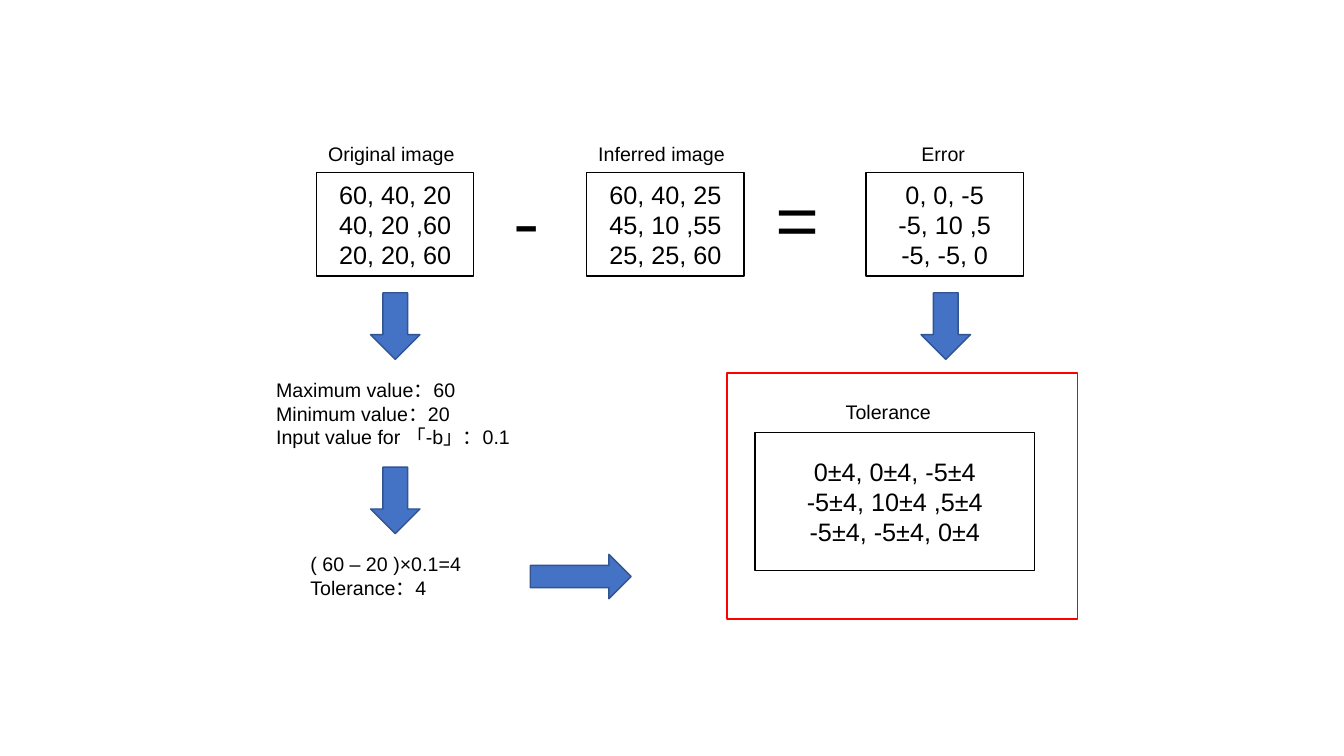
from lxml import etree
from pptx import Presentation
from pptx import util as u
from pptx.dml.color import RGBColor
from pptx.enum import shapes, text
from pptx.oxml import ns

COLORS = {"ink": "000000", "paper": "FFFFFF", "arrow": "4472C4",
          "arrow_edge": "325491", "highlight": "FF0000"}
EAST_ASIAN = "Noto Sans CJK JP"
MATRIX = {"name": "Arial", "size": u.Pt(18)}
LABEL = {"name": "Arial", "size": u.Pt(14)}
OPERATOR = {"name": EAST_ASIAN, "size": u.Pt(54)}


class Diagram:
    def __init__(self, slide):
        self.slide = slide

    def color(self, name):
        return RGBColor.from_string(COLORS[name])

    def fill_text(self, shape, lines, style, frame_format, alignment):
        frame = shape.text_frame
        for name, value in frame_format.items():
            setattr(frame, name, value)
        for index, line in enumerate(lines):
            paragraph = frame.add_paragraph() if index else frame.paragraphs[0]
            paragraph.alignment = alignment
            run = paragraph.add_run()
            run.text = line
            for name, value in style.items():
                setattr(run.font, name, value)
            run.font.color.rgb = self.color("ink")
            properties = run._r.get_or_add_rPr()
            etree.SubElement(properties, ns.qn("a:ea"), typeface=EAST_ASIAN)

    def shape(self, kind, box, fill, line):
        shape = self.slide.shapes.add_shape(kind, *map(u.Inches, box))
        shape.shadow.inherit = False
        if fill:
            shape.fill.solid()
            shape.fill.fore_color.rgb = self.color(fill)
        else:
            shape.fill.background()
        shape.line.color.rgb = self.color(line)
        shape.line.width = u.Pt(1)
        return shape

    def rectangle(self, box, fill="paper", line="ink"):
        return self.shape(shapes.MSO_SHAPE.RECTANGLE, box, fill, line)

    def matrix(self, box, rows):
        frame_format = {"word_wrap": True, "vertical_anchor": text.MSO_ANCHOR.MIDDLE}
        self.fill_text(self.rectangle(box), rows, MATRIX, frame_format, text.PP_ALIGN.CENTER)

    def text(self, box, lines, style=LABEL):
        shape = self.slide.shapes.add_textbox(*map(u.Inches, box))
        frame_format = {"word_wrap": True, "auto_size": text.MSO_AUTO_SIZE.SHAPE_TO_FIT_TEXT}
        self.fill_text(shape, lines, style, frame_format, text.PP_ALIGN.LEFT)

    def arrow(self, box, rotation=0):
        shape = self.shape(shapes.MSO_SHAPE.RIGHT_ARROW, box, "arrow", "arrow_edge")
        shape.rotation = rotation


presentation = Presentation()
presentation.slide_width = u.Inches(13.33)
presentation.slide_height = u.Inches(7.5)
diagram = Diagram(presentation.slides.add_slide(presentation.slide_layouts[6]))

matrix_width = 1.56
matrices = [
    (3.14, "Original image", 1.53, ["60, 40, 20", "40, 20 ,60", "20, 20, 60"]),
    (5.82, "Inferred image", 1.53, ["60, 40, 25", "45, 10 ,55", "25, 25, 60"]),
    (8.59, "Error", 0.66, ["0, 0, -5", "-5, 10 ,5", "-5, -5, 0"]),
]
for left, title, title_width, rows in matrices:
    diagram.matrix((left, 1.71, matrix_width, 1.03), rows)
    title_left = left + (matrix_width - title_width) / 2
    diagram.text((title_left, 1.36, title_width, 0.34), [title])

for left, width, sign in [(4.99, 0.56, "-"), (7.6, 0.79, "=")]:
    diagram.text((left, 1.69, width, 1.03), [sign], OPERATOR)

diagram.text((2.64, 3.7, 2.74, 0.81),
             ["Maximum value：60", "Minimum value：20", "Input value for 「-b」：0.1"])
diagram.text((2.98, 5.43, 1.89, 0.57), ["( 60 – 20 )×0.1=4", "Tolerance：4"])

diagram.rectangle((7.21, 3.7, 3.48, 2.44), fill=None, line="highlight")
diagram.matrix((7.49, 4.29, 2.77, 1.37),
               ["0±4, 0±4, -5±4", "-5±4, 10±4 ,5±4", "-5±4, -5±4, 0±4"])
diagram.text((8.29, 3.92, 1.17, 0.34), ["Tolerance"])

for left, top in [(3.59, 2.99), (3.59, 4.72), (9.05, 2.99)]:
    diagram.arrow((left, top, 0.66, 0.49), rotation=90)
diagram.arrow((5.26, 5.5, 1, 0.44))

presentation.save("out.pptx")
